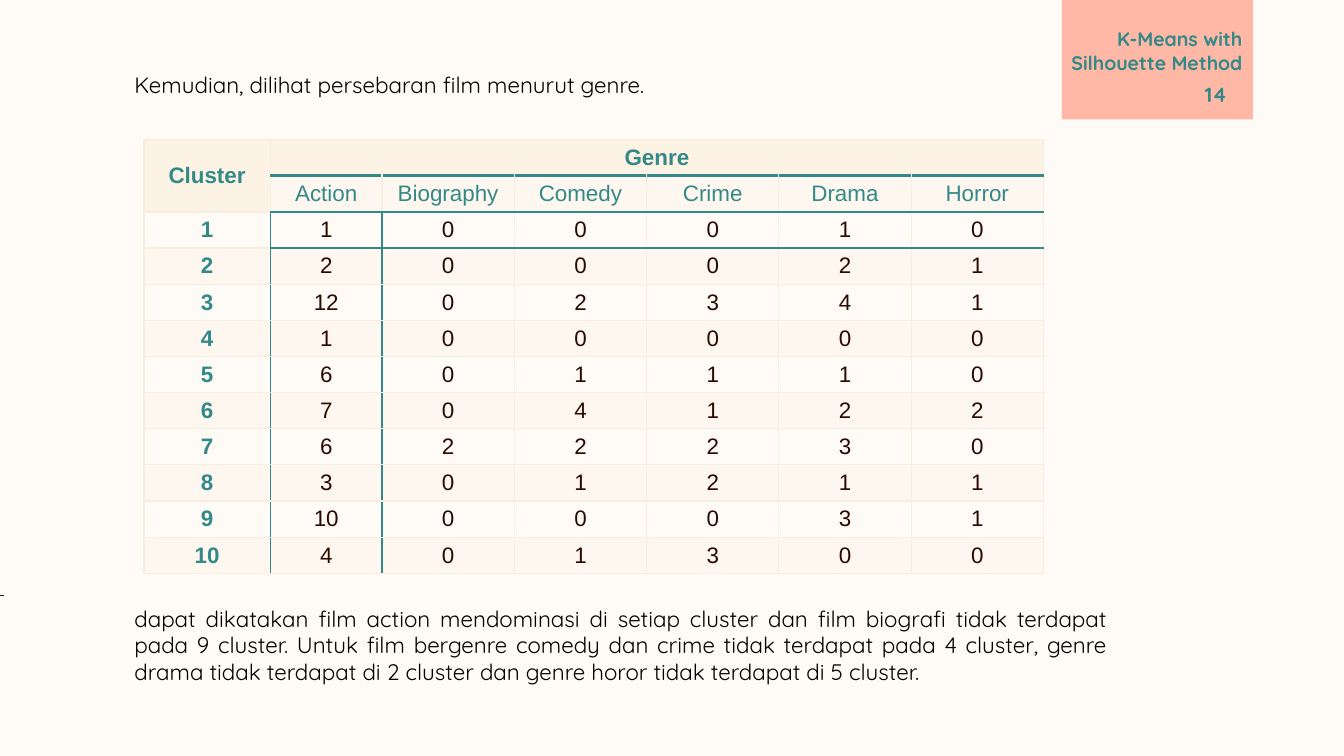
from lxml.etree import SubElement as Sub
from pptx import Presentation
from pptx.dml.color import RGBColor
from pptx.enum.shapes import MSO_CONNECTOR as Link, MSO_SHAPE as Kind
from pptx.enum.text import MSO_ANCHOR as Anchor, PP_ALIGN as Align
from pptx.oxml.ns import qn
from pptx.util import Cm, Pt

TEAL, SAND, EDGE = "338987", "FDF3E5", "F8EEDF"
BLACK, BROWN = "000000", "2A0900"

GENRES = ["Action", "Biography", "Comedy", "Crime", "Drama", "Horror"]
COUNTS = [
    [1, 0, 0, 0, 1, 0],
    [2, 0, 0, 0, 2, 1],
    [12, 0, 2, 3, 4, 1],
    [1, 0, 0, 0, 0, 0],
    [6, 0, 1, 1, 1, 0],
    [7, 0, 4, 1, 2, 2],
    [6, 2, 2, 2, 3, 0],
    [3, 0, 1, 2, 1, 1],
    [10, 0, 0, 0, 3, 1],
    [4, 0, 1, 3, 0, 0],
]
INTRO = "Kemudian, dilihat persebaran film menurut genre."
RESULT = (
    "dapat dikatakan film action mendominasi di setiap cluster dan film "
    "biografi tidak terdapat pada 9 cluster. Untuk film bergenre comedy dan "
    "crime tidak terdapat pada 4 cluster, genre drama tidak terdapat di 2 "
    "cluster dan genre horor tidak terdapat di 5 cluster."
)


def color(code):
    return RGBColor.from_string(code)


def write(frame, text, font="Quicksand", size=12, ink=BLACK, bold=False,
          align=Align.LEFT):
    """Fill a text frame, one paragraph for each line of text."""
    frame.text = text
    for para in frame.paragraphs:
        para.alignment = align
        for run in para.runs:
            run.font.name = font
            run.font.size = Pt(size)
            run.font.bold = bold
            run.font.color.rgb = color(ink)


def tint(fill, code):
    fill.solid()
    fill.fore_color.rgb = color(code)


def row_line(line, col):
    """Colour and width of a horizontal grid line above or below a cell."""
    if col and line in (1, 2, 3):
        return TEAL, 2 if line == 1 else 1
    return EDGE, 0.75


def col_line(line, row):
    """Colour and width of a vertical grid line beside a cell."""
    return (TEAL, 1) if row > 1 and line in (1, 2) else (EDGE, 0.75)


def border(cell, row, col):
    props = cell._tc.get_or_add_tcPr()
    sides = {
        "a:lnL": col_line(col, row),
        "a:lnR": col_line(col + 1, row),
        "a:lnT": row_line(row, col),
        "a:lnB": row_line(row + 1, col),
    }
    for tag, (code, width) in sides.items():
        line = Sub(props, qn(tag), w=str(Pt(width)))
        Sub(Sub(line, qn("a:solidFill")), qn("a:srgbClr"), val=code)


def shade(cell, row, col):
    if row == 0 or (row, col) == (1, 0):
        tint(cell.fill, SAND)
    elif row % 2:
        tint(cell.fill, SAND)
        for node in cell._tc.tcPr.findall(qn("a:solidFill") + "/" + qn("a:srgbClr")):
            Sub(node, qn("a:alpha"), val="40000")
    else:
        cell.fill.background()


class Page:
    def __init__(self, deck, back):
        self.slide = deck.slides.add_slide(deck.slide_layouts[6])
        self.shapes = self.slide.shapes
        tint(self.slide.background.fill, back)

    def block(self, x, y, w, h, code):
        shape = self.shapes.add_shape(Kind.RECTANGLE, Cm(x), Cm(y), Cm(w), Cm(h))
        shape.shadow.inherit = False
        tint(shape.fill, code)
        shape.line.fill.background()

    def text(self, x, y, w, h, text, anchor=Anchor.TOP, **style):
        frame = self.shapes.add_textbox(Cm(x), Cm(y), Cm(w), Cm(h)).text_frame
        frame.word_wrap = True
        frame.vertical_anchor = anchor
        frame.margin_left = frame.margin_right = Cm(0.25)
        frame.margin_top = frame.margin_bottom = Cm(0.25)
        write(frame, text, **style)

    def line(self, x, y, end_x, end_y, code, width):
        line = self.shapes.add_connector(
            Link.STRAIGHT, Cm(x), Cm(y), Cm(end_x), Cm(end_y))
        line.line.color.rgb = color(code)
        line.line.width = Pt(width)
        Sub(line._element.spPr, qn("a:effectLst"))

    def table(self, x, y, widths, height, data):
        table = self.shapes.add_table(
            len(data), len(widths), Cm(x), Cm(y), Cm(sum(widths)), Cm(height)).table
        table.first_row = table.horz_banding = False
        for col, width in zip(table.columns, widths):
            col.width = Cm(width)
        for r, values in enumerate(data):
            table.rows[r].height = Cm(height / len(data))
            for c, value in enumerate(values):
                cell = table.cell(r, c)
                cell.margin_left = cell.margin_right = Cm(0.05)
                cell.margin_top = cell.margin_bottom = 0
                cell.vertical_anchor = Anchor.MIDDLE
                write(cell.text_frame, str(value), font="Arial",
                      ink=BROWN if r > 1 and c else TEAL,
                      bold=r == 0 or c == 0, align=Align.CENTER)
                border(cell, r, c)
                shade(cell, r, c)
        return table


def main():
    deck = Presentation()
    deck.slide_width, deck.slide_height = Cm(25.4), Cm(14.29)
    page = Page(deck, "FEFBF7")

    page.block(20.07, 0, 3.61, 2.26, "FFB8A5")
    page.text(2.29, 1.09, 18.9, 1.02, INTRO)
    page.text(2.29, 11.18, 18.9, 2.05, RESULT, align=Align.JUSTIFY)
    label = {"ink": TEAL, "bold": True, "align": Align.RIGHT}
    page.text(21.92, 1.32, 1.52, 1.09, "14", size=11, **label)
    page.line(0, 11.25, 0.08, 11.25, "1F1F1F", 0.3)
    page.text(15.75, 0.3, 7.98, 1.35, "K-Means with\nSilhouette Method",
              anchor=Anchor.BOTTOM, size=10.5, **label)

    heads = [["Cluster", "Genre"] + [""] * 5, [""] + GENRES]
    body = [[i, *row] for i, row in enumerate(COUNTS, 1)]
    grid = page.table(2.72, 2.64, [2.39, 2.11] + [2.5] * 5, 8.2, heads + body)
    grid.cell(0, 0).merge(grid.cell(1, 0))
    grid.cell(0, 1).merge(grid.cell(0, 6))

    deck.save("out.pptx")


if __name__ == "__main__":
    main()
